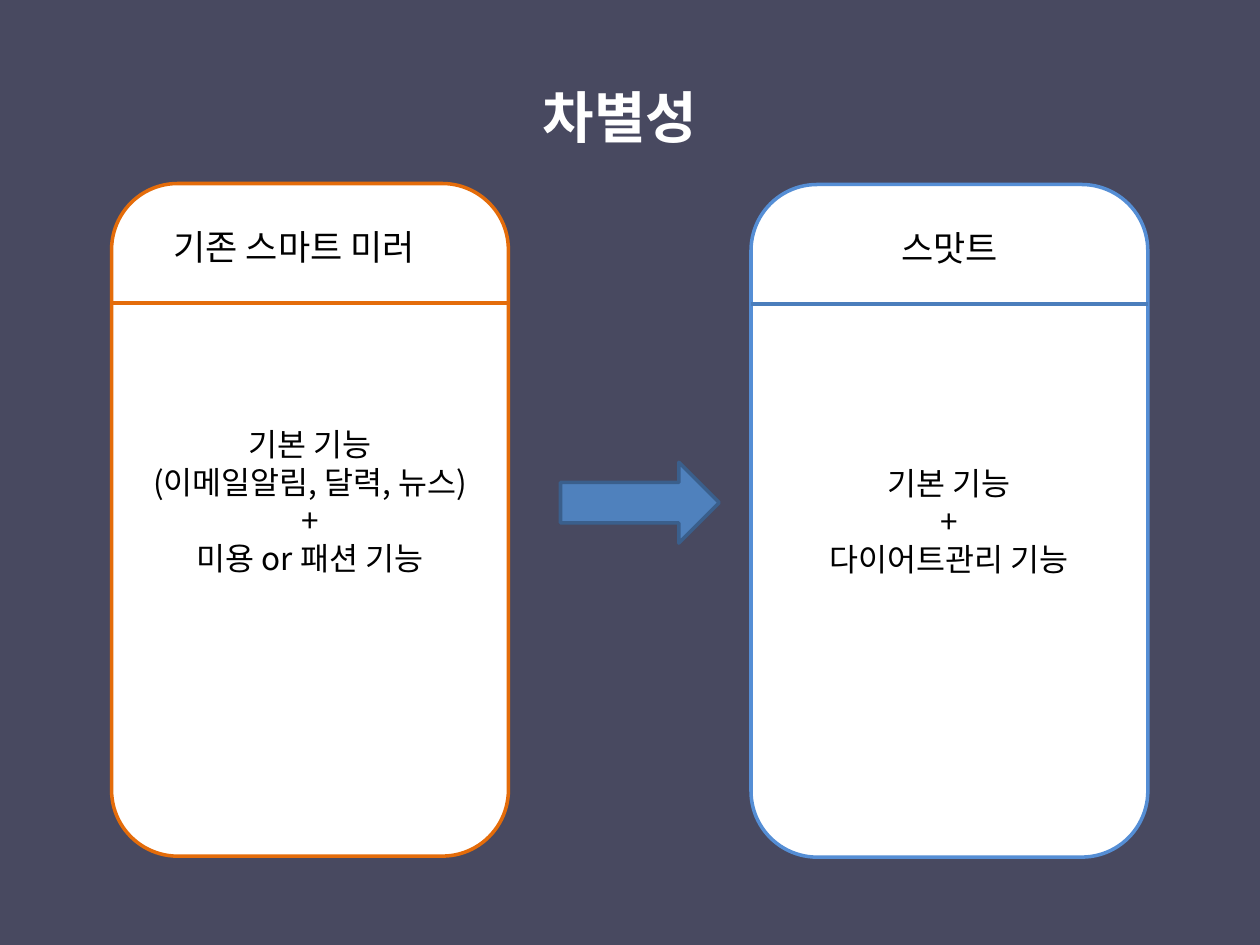
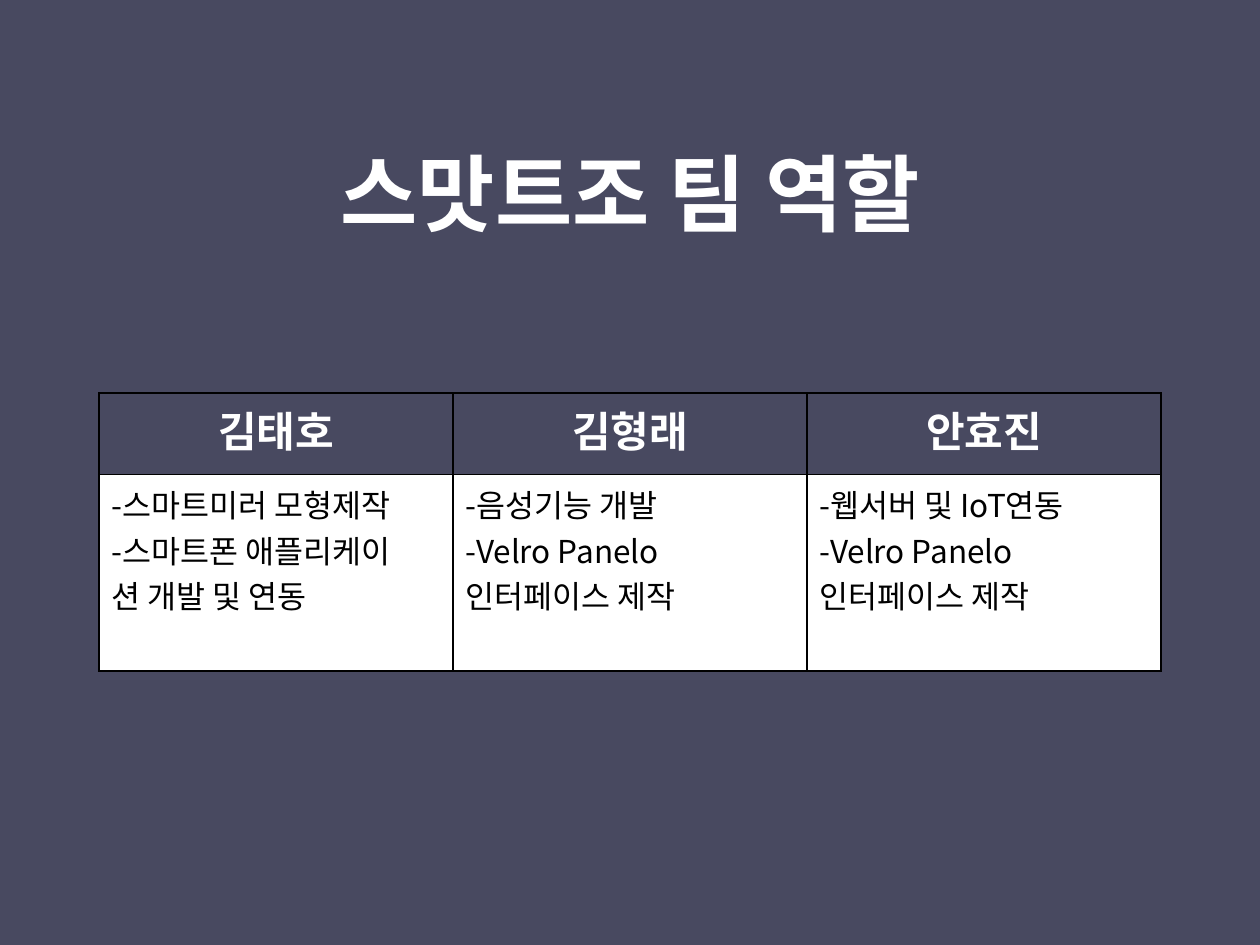
from collections import namedtuple

from lxml import etree
from pptx import Presentation
from pptx.dml.color import RGBColor
from pptx.enum import shapes, text
from pptx.oxml import ns
from pptx.util import Cm, Pt

BACKGROUND = RGBColor(0x48, 0x49, 0x60)
WHITE = RGBColor(0xFF, 0xFF, 0xFF)
BLACK = RGBColor(0x00, 0x00, 0x00)
ORANGE = RGBColor(0xE4, 0x6C, 0x0A)
LIGHT_BLUE = RGBColor(0x55, 0x8E, 0xD5)
DIVIDER_BLUE = RGBColor(0x4B, 0x7E, 0xBC)
ARROW_BLUE = RGBColor(0x4F, 0x81, 0xBD)
ARROW_EDGE = RGBColor(0x3A, 0x5F, 0x8C)

TITLE_FONT = "Noto Sans CJK SC"
BODY_FONT = "Noto Sans CJK KR"
LEFT, CENTER = text.PP_ALIGN.LEFT, text.PP_ALIGN.CENTER

Box = namedtuple("Box", "left top width height")

TITLE = {"name": TITLE_FONT, "bold": True, "color": WHITE}
LABEL = {"name": BODY_FONT, "size": Pt(20), "bold": False, "color": BLACK}
BODY = {**LABEL, "size": Pt(18)}
TABLE_HEAD = {"name": BODY_FONT, "size": Pt(24), "bold": True, "color": WHITE}


def lengths(box):
    return [Cm(value) for value in box]


def style_run(run, style):
    for attribute, value in style.items():
        if attribute == "color":
            run.font.color.rgb = value
        else:
            setattr(run.font, attribute, value)
    east_asian = etree.SubElement(run.font._element, ns.qn("a:ea"))
    east_asian.set("typeface", style["name"])


def write(frame, lines, style, **paragraph_format):
    for index, line in enumerate(lines):
        paragraph = frame.paragraphs[0] if index == 0 else frame.add_paragraph()
        paragraph.text = line
        for attribute, value in paragraph_format.items():
            setattr(paragraph, attribute, value)
        for run in paragraph.runs:
            style_run(run, style)


def add_text(slide, box, line, style, alignment):
    frame = slide.shapes.add_textbox(*lengths(box)).text_frame
    frame.word_wrap = True
    frame.vertical_anchor = text.MSO_ANCHOR.MIDDLE
    write(frame, [line], style, alignment=alignment)


def add_block(slide, kind, box, fill, line):
    shape = slide.shapes.add_shape(kind, *lengths(box))
    shape.shadow.inherit = False
    shape.fill.solid()
    shape.fill.fore_color.rgb = fill
    shape.line.color.rgb = line
    shape.line.width = Pt(2)
    return shape


def add_divider(slide, left, top, width, color):
    ends = lengths((left, top, left + width, top))
    connector = slide.shapes.add_connector(shapes.MSO_CONNECTOR.STRAIGHT, *ends)
    connector.line.color.rgb = color
    connector.line.width = Pt(2.25)
    etree.SubElement(connector._element.spPr, ns.qn("a:effectLst"))


def add_panel(slide, box, heading, alignment, lines, edge, divider, lift=0):
    panel = add_block(slide, shapes.MSO_SHAPE.ROUNDED_RECTANGLE, box, WHITE, edge)
    frame = panel.text_frame
    frame.word_wrap = True
    frame.vertical_anchor = text.MSO_ANCHOR.MIDDLE
    frame.margin_bottom = Cm(0.13 + lift)
    write(frame, lines, BODY, alignment=CENTER, line_spacing=Pt(21.7))
    label = Box(box.left + 1, box.top + 0.7, box.width - 2, 1.12)
    add_text(slide, label, heading, LABEL, alignment)
    add_divider(slide, box.left, box.top + 2.41, box.width, divider)


def add_borders(cell):
    properties = cell._tc.get_or_add_tcPr()
    for index, side in enumerate(("lnL", "lnR", "lnT", "lnB")):
        border = etree.Element(ns.qn("a:" + side), w=str(Pt(1)))
        fill = etree.SubElement(border, ns.qn("a:solidFill"))
        etree.SubElement(fill, ns.qn("a:srgbClr"), val=str(BLACK))
        properties.insert(index, border)


def add_role_table(slide, box, roles, head_height):
    frame = slide.shapes.add_table(2, len(roles), *lengths(box))
    table = frame.table
    table.horz_banding = False
    table.rows[0].height = Cm(head_height)
    table.rows[1].height = Cm(box.height - head_height)
    for column, (member, tasks) in enumerate(roles):
        table.columns[column].width = Cm(box.width / len(roles))
        rows = (
            ([member], TABLE_HEAD, CENTER, BACKGROUND),
            (tasks, BODY, LEFT, WHITE),
        )
        for row, (lines, style, alignment, fill) in enumerate(rows):
            cell = table.cell(row, column)
            cell.fill.solid()
            cell.fill.fore_color.rgb = fill
            add_borders(cell)
            write(cell.text_frame, lines, style, alignment=alignment)


def add_slide(presentation, title, box, size, alignment):
    slide = presentation.slides.add_slide(presentation.slide_layouts[6])
    slide.background.fill.solid()
    slide.background.fill.fore_color.rgb = BACKGROUND
    add_text(slide, box, title, {**TITLE, "size": Pt(size)}, alignment)
    return slide


def build_comparison(presentation):
    slide = add_slide(presentation, "차별성", Box(10.69, 1.52, 8.08, 1.63), 32, LEFT)
    add_panel(
        slide, Box(2.25, 3.7, 8, 13.56), "기존 스마트 미러", LEFT,
        ["기본 기능", "(이메일알림, 달력, 뉴스)", "+", "미용 or 패션 기능"],
        ORANGE, ORANGE, lift=0.76,
    )
    add_panel(
        slide, Box(15.14, 3.72, 8, 13.56), "스맛트", CENTER,
        ["기본 기능", "+", "다이어트관리 기능"],
        LIGHT_BLUE, DIVIDER_BLUE,
    )
    arrow = Box(11.3, 9.32, 3.2, 1.63)
    add_block(slide, shapes.MSO_SHAPE.RIGHT_ARROW, arrow, ARROW_BLUE, ARROW_EDGE)


def build_roles(presentation):
    title_box = Box(5.77, 2.72, 13.87, 2.31)
    slide = add_slide(presentation, "스맛트조 팀 역할", title_box, 48, CENTER)
    roles = [
        ("김태호", ["-스마트미러 모형제작", "-스마트폰 애플리케이\v션 개발 및 연동"]),
        ("김형래", ["-음성기능 개발", "-Velro Panelo 인터페이스 제작"]),
        ("안효진", ["-웹서버 및 IoT연동", "-Velro Panelo 인터페이스 제작"]),
    ]
    add_role_table(slide, Box(2, 7.92, 21.41, 5.61), roles, 1.65)


presentation = Presentation()
presentation.slide_width = Cm(25.4)
presentation.slide_height = Cm(19.05)
build_comparison(presentation)
build_roles(presentation)
presentation.save("out.pptx")
